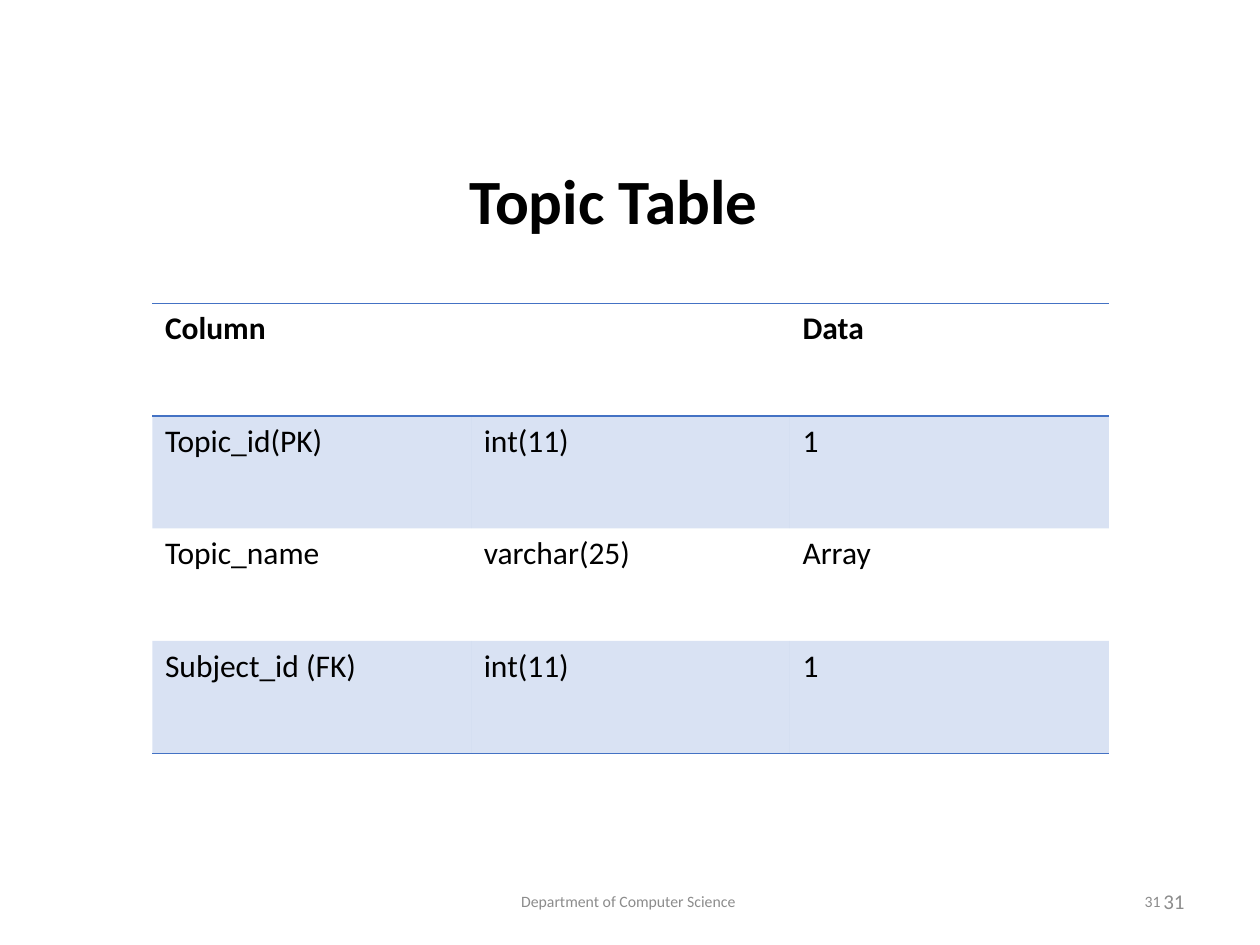
from typing import NamedTuple

from lxml import etree
from pptx import Presentation
from pptx import util as u
from pptx.dml.color import RGBColor
from pptx.enum import text
from pptx.oxml.ns import qn

WIDTH, HEIGHT = 10, 7.5
FONT = "Calibri"
COLORS = {"ink": "000000", "muted": "8C8C8C", "accent": "4472C4"}
NO_STYLE_NO_GRID = "{2D5ABB26-0587-4C30-8999-92F81FD0307C}"
BAND_ALPHA = 20


class Box(NamedTuple):
    """A place given as shares of the slide's width and height."""
    left: float
    top: float
    width: float
    height: float

    def lengths(self) -> tuple:
        return (u.Inches(self.left * WIDTH), u.Inches(self.top * HEIGHT),
                u.Inches(self.width * WIDTH), u.Inches(self.height * HEIGHT))


class FooterItem(NamedTuple):
    words: str
    left: float
    width: float
    size: int
    align: text.PP_ALIGN


FOOTER_TOP, FOOTER_HEIGHT = 6.95 / HEIGHT, 0.4 / HEIGHT
FOOTER = [
    FooterItem("Department of Computer Science ", 0.331, 0.338, 9, text.PP_ALIGN.CENTER),
    FooterItem("31", 0.706, 0.225, 9, text.PP_ALIGN.RIGHT),
    FooterItem("31", 0.717, 0.233, 12, text.PP_ALIGN.RIGHT),
]
TITLE_BOX = Box(0.201, 1.23 / HEIGHT, 0.583, 0.71 / HEIGHT)
TABLE_BOX = Box(0.121, 2.41 / HEIGHT, 0.759, 3.57 / HEIGHT)
ROWS = [
    ("Column", "", "Data"),
    ("Topic_id(PK)", "int(11)", "1"),
    ("Topic_name", "varchar(25)", "Array"),
    ("Subject_id (FK)", "int(11)", "1"),
]


def write(frame, words: str, *, size: int, color: str = "ink", bold: bool = False,
          align=text.PP_ALIGN.LEFT) -> None:
    paragraph = frame.paragraphs[0]
    paragraph.alignment = align
    run = paragraph.add_run()
    run.text = words
    run.font.name, run.font.size, run.font.bold = FONT, u.Pt(size), bold
    run.font.color.rgb = RGBColor.from_string(COLORS[color])


def add_footer(slide, item: FooterItem) -> None:
    box = Box(item.left, FOOTER_TOP, item.width, FOOTER_HEIGHT)
    frame = slide.shapes.add_textbox(*box.lengths()).text_frame
    frame.word_wrap = True
    frame.vertical_anchor = text.MSO_ANCHOR.MIDDLE
    write(frame, item.words, size=item.size, color="muted", align=item.align)


def set_title(slide, words: str) -> None:
    title = slide.shapes.title
    title.left, title.top, title.width, title.height = TITLE_BOX.lengths()
    title.text_frame.word_wrap = True
    title.text_frame.vertical_anchor = text.MSO_ANCHOR.TOP
    title.text_frame.auto_size = text.MSO_AUTO_SIZE.SHAPE_TO_FIT_TEXT
    write(title.text_frame, words, size=36, bold=True, align=text.PP_ALIGN.CENTER)


def set_borders(cell, sides: str) -> None:
    """Draw 1 pt rules on the named sides and leave the other sides clear."""
    properties = cell._tc.get_or_add_tcPr()
    for position, side in enumerate("LRTB"):
        line = etree.Element(qn(f"a:ln{side}"), w=str(u.Pt(1)))
        if side in sides:
            fill = etree.SubElement(line, qn("a:solidFill"))
            etree.SubElement(fill, qn("a:srgbClr"), val=COLORS["accent"])
        else:
            etree.SubElement(line, qn("a:noFill"))
        properties.insert(position, line)


def fill_cell(cell, banded: bool) -> None:
    if not banded:
        cell.fill.background()
        return
    cell.fill.solid()
    cell.fill.fore_color.rgb = RGBColor.from_string(COLORS["accent"])
    color = cell._tc.tcPr.find(f".//{qn('a:srgbClr')}")
    etree.SubElement(color, qn("a:alpha"), val=str(BAND_ALPHA * 1000))


def add_topic_table(slide) -> None:
    shape = slide.shapes.add_table(len(ROWS), len(ROWS[0]), *TABLE_BOX.lengths())
    table = shape.table
    table.horz_banding = False
    shape._element.find(f".//{qn('a:tableStyleId')}").text = NO_STYLE_NO_GRID
    last = len(ROWS) - 1
    for row, values in enumerate(ROWS):
        for column, words in enumerate(values):
            cell = table.cell(row, column)
            if words:
                write(cell.text_frame, words, size=18, bold=row == 0)
            fill_cell(cell, banded=row % 2 == 1)
            set_borders(cell, {0: "TB", 1: "T", last: "B"}.get(row, ""))


def main() -> None:
    presentation = Presentation()
    presentation.slide_width, presentation.slide_height = u.Inches(WIDTH), u.Inches(HEIGHT)
    slide = presentation.slides.add_slide(presentation.slide_layouts[5])

    # Footer and slide numbers
    for item in FOOTER:
        add_footer(slide, item)

    # Title and table
    set_title(slide, "Topic Table ")
    add_topic_table(slide)

    presentation.save("out.pptx")


if __name__ == "__main__":
    main()
